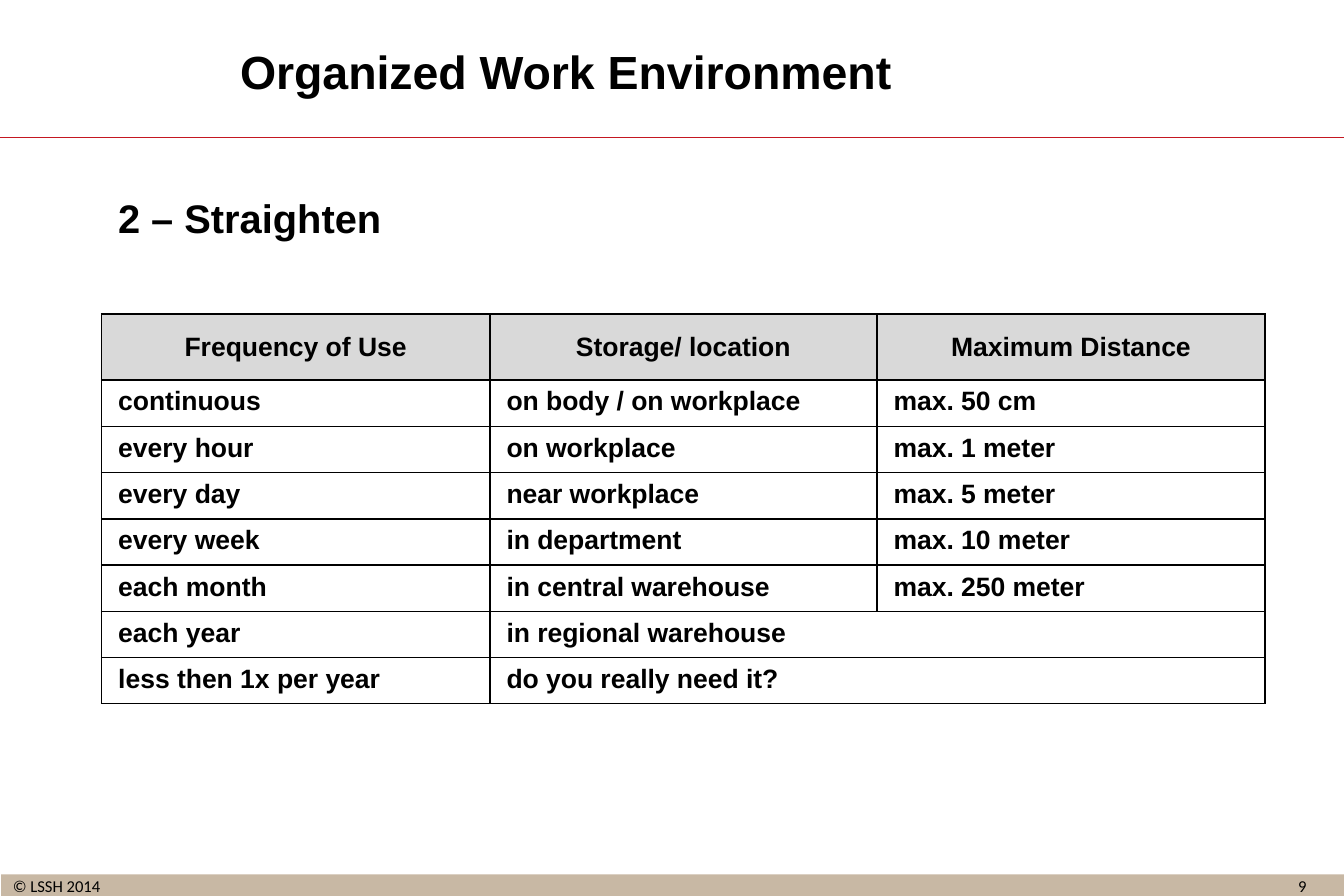
from lxml.etree import SubElement
from pptx import Presentation
from pptx.dml.color import RGBColor
from pptx.enum.shapes import MSO_CONNECTOR, MSO_SHAPE
from pptx.enum.text import MSO_ANCHOR, PP_ALIGN
from pptx.oxml.ns import qn
from pptx.util import Inches, Pt

BLACK, RED, SAND, GREY = "000000", "C41721", "C8B8A4", "D9D9D9"


def rgb(value):
    return RGBColor.from_string(value)


def write(tf, text, font="Arial", size=16, bold=True, color=BLACK, align=PP_ALIGN.LEFT):
    p = tf.paragraphs[0]
    p.alignment = align
    p.space_before = Pt(0)
    r = p.add_run()
    r.text = text
    r.font.name, r.font.size, r.font.bold = font, Pt(size), bold
    r.font.color.rgb = rgb(color)


def set_border(cell, color=BLACK, width=1):
    tc_pr = cell._tc.get_or_add_tcPr()
    for side in ("lnL", "lnR", "lnT", "lnB"):
        ln = SubElement(tc_pr, qn(f"a:{side}"), w=str(Pt(width)))
        fill = SubElement(ln, qn("a:solidFill"))
        SubElement(fill, qn("a:srgbClr"), val=color)


class SlideBuilder:
    def __init__(self, prs):
        self.slide = prs.slides.add_slide(prs.slide_layouts[5])
        self.shapes = self.slide.shapes
        self.slide.background.fill.solid()
        self.slide.background.fill.fore_color.rgb = rgb("FFFFFF")

    def title(self, text, x, y, w, h):
        sp = self.shapes.title
        sp.left, sp.top, sp.width, sp.height = map(Inches, (x, y, w, h))
        sp.text_frame.vertical_anchor = MSO_ANCHOR.MIDDLE
        write(sp.text_frame, text, size=28, align=PP_ALIGN.CENTER)

    def bar(self, x, y, w, h, color):
        sp = self.shapes.add_shape(MSO_SHAPE.RECTANGLE, *map(Inches, (x, y, w, h)))
        sp.shadow.inherit = False
        sp.fill.solid()
        sp.fill.fore_color.rgb = rgb(color)
        sp.line.fill.background()

    def rule(self, x1, y1, x2, y2, color, width=0.75):
        line = self.shapes.add_connector(MSO_CONNECTOR.STRAIGHT, *map(Inches, (x1, y1, x2, y2)))
        line.line.color.rgb = rgb(color)
        line.line.width = Pt(width)
        SubElement(line._element.spPr, qn("a:effectLst"))

    def text(self, text, x, y, w, h, inset=0.05, wrap=True, anchor=MSO_ANCHOR.TOP, **style):
        tf = self.shapes.add_textbox(*map(Inches, (x, y, w, h))).text_frame
        tf.word_wrap = wrap
        tf.vertical_anchor = anchor
        tf.margin_top = tf.margin_bottom = Inches(inset)
        write(tf, text, **style)

    def table(self, rows, x, y, widths, heights):
        frame = self.shapes.add_table(len(rows), len(widths), *map(Inches, (x, y, sum(widths), sum(heights))))
        table = frame.table
        table.first_row = table.horz_banding = False
        for column, width in zip(table.columns, widths):
            column.width = Inches(width)
        for i, (row, height) in enumerate(zip(rows, heights)):
            table.rows[i].height = Inches(height)
            for j in range(len(widths)):
                self.cell(table.cell(i, j), row[j] if j < len(row) else "", header=i == 0)
            # A short row stretches its last cell to the right edge
            if len(row) < len(widths):
                table.cell(i, len(row) - 1).merge(table.cell(i, len(widths) - 1))

    def cell(self, cell, text, header):
        cell.margin_left = cell.margin_right = Inches(0.14)
        cell.margin_top = cell.margin_bottom = Inches(0.06)
        set_border(cell)
        if header:
            cell.fill.solid()
            cell.fill.fore_color.rgb = rgb(GREY)
            cell.vertical_anchor = MSO_ANCHOR.MIDDLE
        else:
            cell.fill.background()
        if text:
            write(cell.text_frame, text, align=PP_ALIGN.CENTER if header else PP_ALIGN.LEFT)


STORAGE_RULES = [
    ("Frequency of Use", "Storage/ location", "Maximum Distance"),
    ("continuous", "on body / on workplace", "max. 50 cm"),
    ("every hour", "on workplace", "max. 1 meter"),
    ("every day", "near workplace", "max. 5 meter"),
    ("every week", "in department", "max. 10 meter"),
    ("each month", "in central warehouse", "max. 250 meter"),
    ("each year", "in regional warehouse"),
    ("less then 1x per year", "do you really need it?"),
]


def main():
    prs = Presentation()
    prs.slide_width, prs.slide_height = Inches(11.25), Inches(7.5)
    s = SlideBuilder(prs)

    # Footer
    footer = dict(inset=0, font="Calibri", size=10, bold=False)
    s.bar(0.01, 7.32, 11.25, 0.2, SAND)
    s.text("9", 10.54, 7.33, 0.72, 0.21, align=PP_ALIGN.CENTER, **footer)
    s.text("© LSSH 2014", 0.01, 7.3, 1.59, 0.2, wrap=False, anchor=MSO_ANCHOR.BOTTOM, **footer)

    # Heading
    s.rule(0, 1.15, 11.25, 1.15, RED)
    s.title("Organized Work Environment", 0.75, 0.26, 7.97, 0.66)
    s.text("2 – Straighten", 0.89, 1.57, 9.74, 0.55, size=24)

    # Storage table
    s.table(STORAGE_RULES, 0.85, 2.63, [3.25, 3.24, 3.25], [0.55, 0.39] + [0.38] * 6)

    prs.save("out.pptx")


if __name__ == "__main__":
    main()
